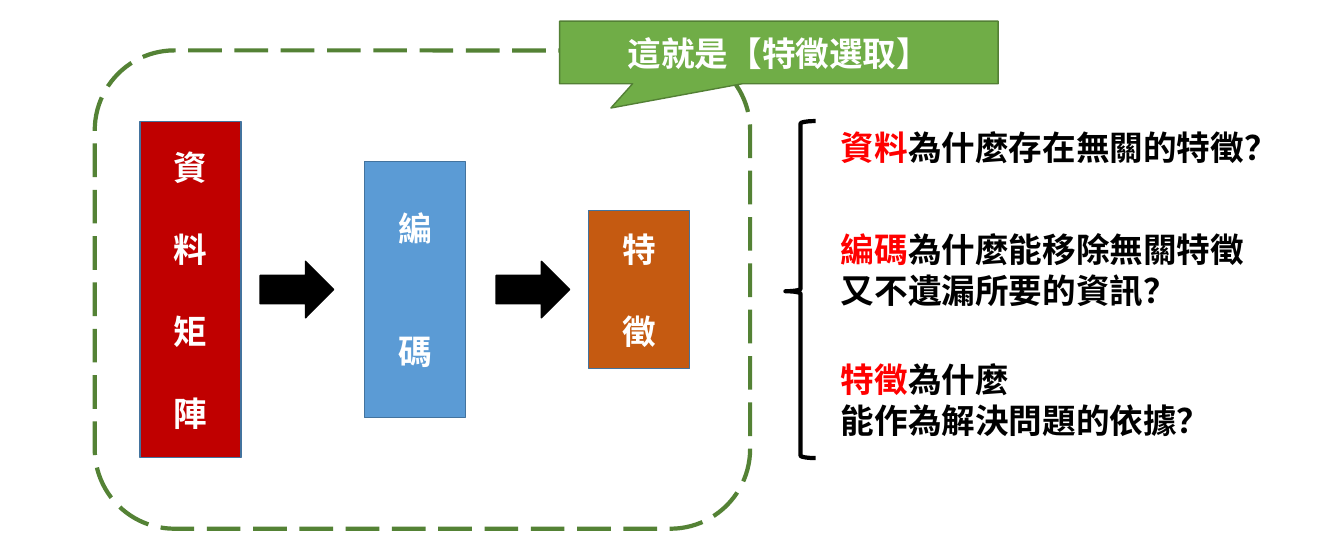
from pptx import Presentation
from pptx.dml.color import RGBColor as RGB
from pptx.enum.dml import MSO_LINE as Dash
from pptx.enum.shapes import MSO_SHAPE as Kind
from pptx.enum.text import MSO_ANCHOR as Anchor, MSO_AUTO_SIZE as Fit, PP_ALIGN as Align
from pptx.oxml.ns import qn
from pptx.util import Inches, Pt
from lxml.etree import SubElement as Sub, Element

FONT = "Noto Sans CJK SC"
SIZE = 24
PITCH = 29.25
HUES = {
    "white": "FFFFFF", "black": "000000", "accent": "FF0000",
    "frame": "548235", "call": "70AD47", "rim": "538035",
    "edge": "43739E", "data": "C00000", "code": "5B9BD5", "trait": "C55A11",
}
STAGES = [
    ("資料矩陣", "data", 3.33, 1),
    ("編碼", "code", 2.54, 2),
    ("特徵", "trait", 1.57, 1),
]
ASKS = [
    ("資料", ["為什麼存在無關的特徵？"], 0),
    ("編碼", ["為什麼能移除無關特徵", "又不遺漏所要的資訊？"], 43.5),
    ("特徵", ["為什麼", "能作為解決問題的依據？"], 34),
]


def hue(name):
    return RGB.from_string(HUES[name])


def style(para, tint, gap=0, align=Align.LEFT):
    para.alignment = align
    para.line_spacing = Pt(PITCH)
    para.space_before = Pt(gap)
    font = para.font
    font.size = Pt(SIZE)
    font.bold = True
    font.color.rgb = hue(tint)
    font.name = FONT
    base = para._p.pPr.find(qn("a:defRPr"))
    Sub(base, qn("a:ea")).set("typeface", FONT)
    return base


def draw(slide, kind, box, fill, line, width=1, adjust=()):
    shape = slide.shapes.add_shape(kind, *map(Inches, box))
    shape.shadow.inherit = False
    if fill:
        shape.fill.solid()
        shape.fill.fore_color.rgb = hue(fill)
    else:
        shape.fill.background()
    shape.line.color.rgb = hue(line)
    shape.line.width = Pt(width)
    for i, value in enumerate(adjust):
        shape.adjustments[i] = value
    return shape


def label(shape, lines, gap=0):
    frame = shape.text_frame
    frame.vertical_anchor = Anchor.MIDDLE
    for i, line in enumerate(lines):
        para = frame.add_paragraph() if i else frame.paragraphs[0]
        para.text = line
        style(para, "white", gap if i else 0, Align.CENTER)


def flow(slide, box):
    left, top, wide, high = box
    frame = draw(slide, Kind.ROUNDED_RECTANGLE, box, "white", "frame", 3)
    frame.line.dash_style = Dash.LONG_DASH
    mid = top + high / 2
    for i, (text, tint, tall, blank) in enumerate(STAGES):
        x = left + 0.45 + 2.225 * i
        stage = draw(slide, Kind.RECTANGLE, (x, mid - tall / 2, 1, tall), tint, "edge")
        label(stage, text, blank * PITCH)
    for i in range(len(STAGES) - 1):
        x = left + 1.64 + 2.34 * i
        draw(slide, Kind.RIGHT_ARROW, (x, mid - 0.28, 0.73, 0.56), "black", "black")


def asks(slide, box):
    left, top, wide, high = box
    draw(slide, Kind.LEFT_BRACE, (left, top, 0.3, high), None, "black", 3, (0.083, 0.505))
    body = slide.placeholders[1]
    body.left, body.top, body.width, body.height = map(
        Inches, (left + 0.45, top, wide - 0.45, high))
    frame = body.text_frame
    frame.auto_size = Fit.NONE
    frame.word_wrap = True
    frame.vertical_anchor = Anchor.TOP
    for i, (topic, lines, gap) in enumerate(ASKS):
        para = frame.add_paragraph() if i else frame.paragraphs[0]
        head = para.add_run()
        head.text = topic
        for j, line in enumerate(lines):
            if j:
                para.add_line_break()
            para.add_run().text = line
        base = style(para, "black", gap)
        base.addprevious(Element(qn("a:buNone")))
        para._p.pPr.set("marL", "0")
        para._p.pPr.set("indent", "0")
        head.font.color.rgb = hue("accent")


def callout(slide, box):
    shape = draw(slide, Kind.RECTANGULAR_CALLOUT, box, "call", "rim", 1, (-0.383, 0.888))
    label(shape, ["這就是【特徵選取】"])


deck = Presentation()
deck.slide_width = Inches(13.33)
deck.slide_height = Inches(5.53)
page = deck.slides.add_slide(deck.slide_layouts[1])
title = page.shapes.title._element
title.getparent().remove(title)
flow(page, (0.94, 0.5, 6.5, 4.74))
asks(page, (7.79, 1.2, 5.54, 3.34))
callout(page, (5.55, 0.21, 4.35, 0.62))
deck.save("out.pptx")
